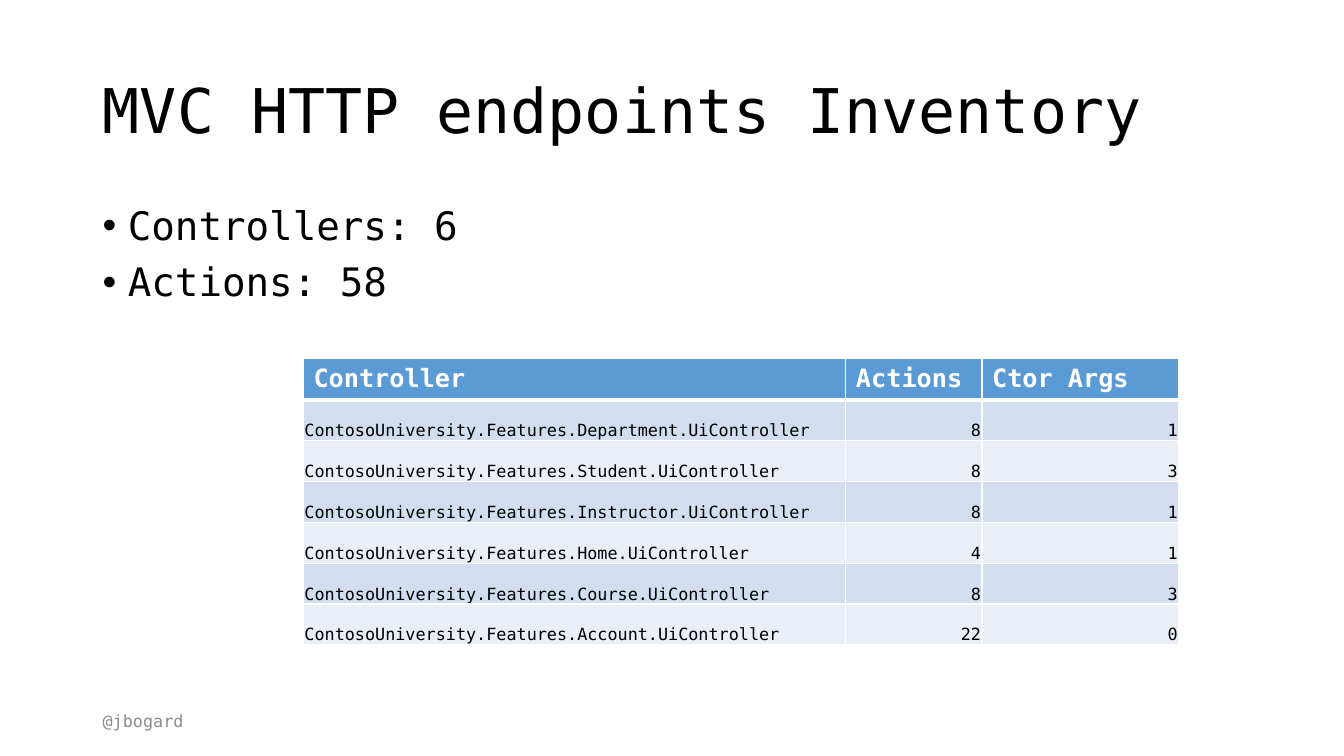
import pptx
import pptx.dml.color
import pptx.enum.text
import pptx.oxml
import pptx.oxml.ns
import pptx.util

PX = 9144
FONT = "DejaVu Sans Mono"
BLACK, WHITE, GREY = "000000", "FFFFFF", "8C8C8C"
HEADER_BLUE, BAND_DARK, BAND_LIGHT = "5B9BD5", "D2DEEF", "EAEFF7"
ALIGN = pptx.enum.text.PP_ALIGN
ANCHOR = pptx.enum.text.MSO_ANCHOR

COUNTS = ["Controllers: 6", "Actions: 58"]
HEADINGS = ["Controller", "Actions", "Ctor Args"]
CONTROLLERS = [
    ("Department", 8, 1),
    ("Student", 8, 3),
    ("Instructor", 8, 1),
    ("Home", 4, 1),
    ("Course", 8, 3),
    ("Account", 22, 0),
]
COLUMN_WIDTHS = [538, 135, 195]


def px(length):
    """Turn a length in px into EMU."""
    return pptx.util.Emu(length * PX)


def color(value):
    """Turn a hex string into a colour."""
    return pptx.dml.color.RGBColor.from_string(value)


def place(shape, box):
    """Move a shape to a box of left, top, width and height."""
    shape.left, shape.top, shape.width, shape.height = map(px, box)


def add_bullet(paragraph, indent):
    """Give a paragraph a bullet with a hanging indent."""
    properties = paragraph._p.get_or_add_pPr()
    properties.set("marL", str(px(indent)))
    properties.set("indent", str(-px(indent)))
    namespace = pptx.oxml.ns.nsdecls("a")
    for element in ('<a:buFont %s typeface="Arial"/>', '<a:buChar %s char="•"/>'):
        properties.append(pptx.oxml.parse_xml(element % namespace))


def write(paragraph, text, size=12, fill=BLACK, bold=False, align=ALIGN.LEFT,
          line_spacing=None, space_before=0, bullet_indent=0):
    """Put formatted text in a paragraph."""
    paragraph.alignment = align
    paragraph.line_spacing = line_spacing
    paragraph.space_before = pptx.util.Pt(space_before)
    if bullet_indent:
        add_bullet(paragraph, bullet_indent)
    run = paragraph.add_run()
    run.text = text
    run.font.name = FONT
    run.font.size = pptx.util.Pt(size)
    run.font.bold = bold
    run.font.color.rgb = color(fill)


def add_title(slide, box):
    """Write the slide title in its placeholder."""
    title = slide.shapes.title
    place(title, box)
    title.text_frame.vertical_anchor = ANCHOR.MIDDLE
    title.text_frame.word_wrap = True
    write(title.text_frame.paragraphs[0], "MVC HTTP endpoints Inventory",
          size=44, line_spacing=0.9)


def add_text_frame(slide, box, anchor):
    """Add a wrapping text box and return its text frame."""
    frame = slide.shapes.add_textbox(*map(px, box)).text_frame
    frame.word_wrap = True
    frame.vertical_anchor = anchor
    return frame


def add_counts(slide, box):
    """List the totals as bullets."""
    frame = add_text_frame(slide, box, ANCHOR.TOP)
    for index, text in enumerate(COUNTS):
        paragraph = frame.add_paragraph() if index else frame.paragraphs[0]
        write(paragraph, text, size=28, line_spacing=0.9,
              space_before=10 if index else 0, bullet_indent=25)


def add_handle(slide, box):
    """Write the speaker handle at the foot."""
    frame = add_text_frame(slide, box, ANCHOR.MIDDLE)
    write(frame.paragraphs[0], "@jbogard", fill=GREY)


def format_cell(cell, fill, top=1, bottom=1):
    """Give a cell white borders and a fill."""
    properties = cell._tc.get_or_add_tcPr()
    for side, width in (("L", 1), ("R", 1), ("T", top), ("B", bottom)):
        properties.append(pptx.oxml.parse_xml(
            f'<a:ln{side} {pptx.oxml.ns.nsdecls("a")} w="{pptx.util.Pt(width)}">'
            f'<a:solidFill><a:srgbClr val="{WHITE}"/></a:solidFill></a:ln{side}>'))
    cell.fill.solid()
    cell.fill.fore_color.rgb = color(fill)


def add_header_row(table):
    """Fill the heading row of the table."""
    for cell, heading in zip(table.rows[0].cells, HEADINGS):
        format_cell(cell, HEADER_BLUE, bottom=3)
        write(cell.text_frame.paragraphs[0], heading, size=18, fill=WHITE, bold=True)


def add_controller_row(table, index, values):
    """Fill one controller row of the table."""
    for column, value in enumerate(values):
        cell = table.cell(index, column)
        cell.margin_left = cell.margin_right = cell.margin_top = px(1)
        cell.margin_bottom = 0
        cell.vertical_anchor = ANCHOR.BOTTOM
        format_cell(cell, BAND_DARK if index % 2 else BAND_LIGHT,
                    top=3 if index == 1 else 1)
        write(cell.text_frame.paragraphs[0], str(value),
              align=ALIGN.RIGHT if column else ALIGN.LEFT)


def add_controller_table(slide, box):
    """Add the table of controllers."""
    table = slide.shapes.add_table(
        len(CONTROLLERS) + 1, len(HEADINGS), *map(px, box)).table
    for column, width in zip(table.columns, COLUMN_WIDTHS):
        column.width = px(width)
    add_header_row(table)
    for index, (feature, actions, arguments) in enumerate(CONTROLLERS, 1):
        name = f"ContosoUniversity.Features.{feature}.UiController"
        add_controller_row(table, index, (name, actions, arguments))


def main():
    """Build the slide and save it."""
    presentation = pptx.Presentation()
    presentation.slide_width, presentation.slide_height = px(1333), px(750)
    slide = presentation.slides.add_slide(presentation.slide_layouts[5])
    add_title(slide, (92, 40, 1150, 145))
    add_handle(slide, (92, 695, 300, 40))
    add_counts(slide, (92, 200, 1150, 476))
    add_controller_table(slide, (301, 356, sum(COLUMN_WIDTHS), 284))
    presentation.save("out.pptx")


if __name__ == "__main__":
    main()
